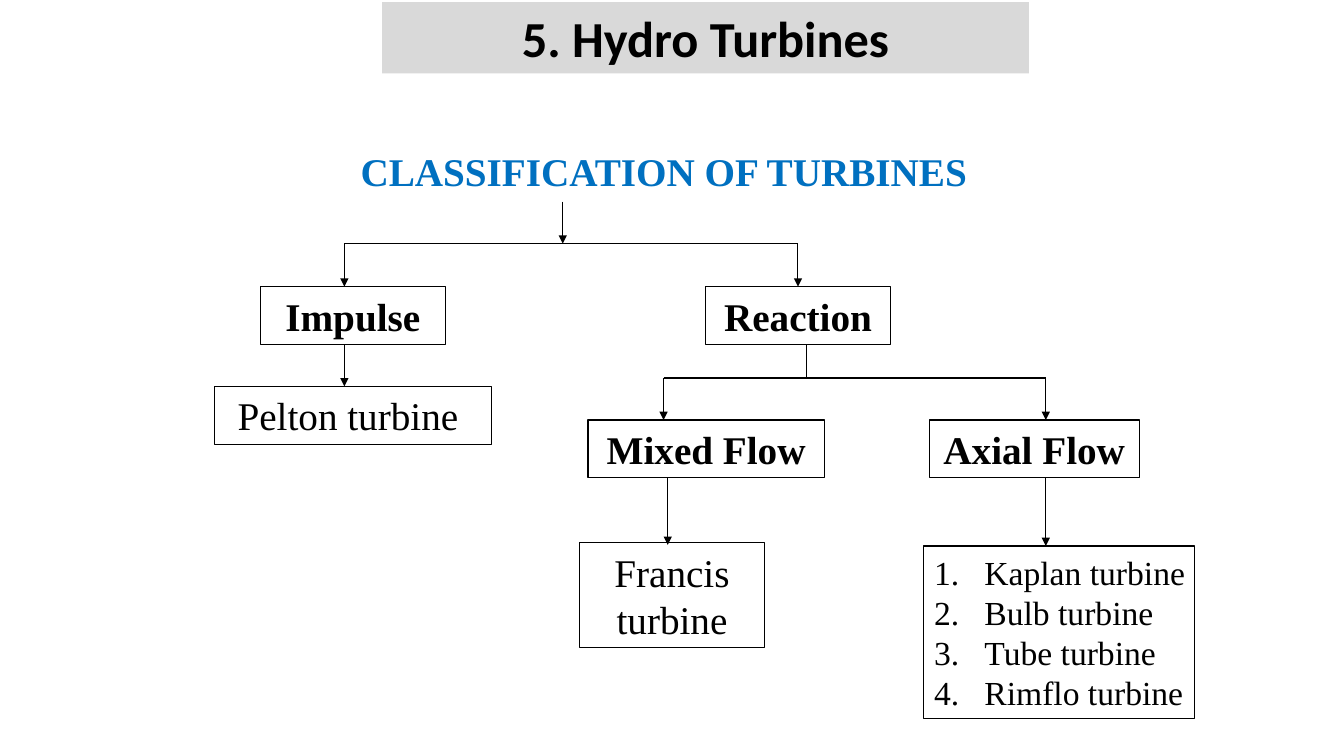
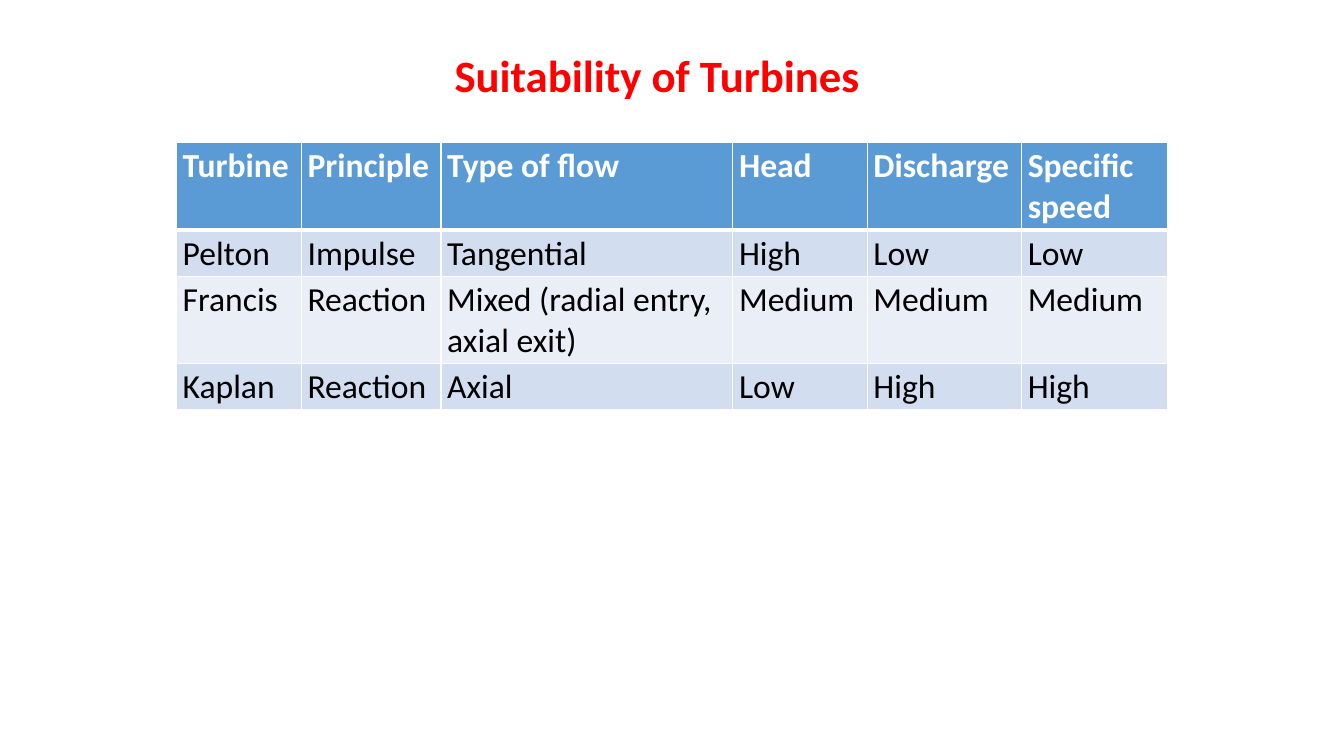
from lxml import etree
from pptx import Presentation
from pptx.dml.color import RGBColor
from pptx.enum.shapes import MSO_CONNECTOR, MSO_SHAPE
from pptx.enum.text import MSO_ANCHOR, MSO_AUTO_SIZE, PP_ALIGN
from pptx.oxml.ns import qn
from pptx.util import Emu, Pt

EMU_PER_PX = 9525
SLIDE_SIZE = (1280, 720)
TITLE_AND_BODY, TITLE_ONLY = 1, 5
TOP_SIDE = 0
RECTANGLE = MSO_SHAPE.RECTANGLE
STRAIGHT = MSO_CONNECTOR.STRAIGHT
LEFT, CENTER = PP_ALIGN.LEFT, PP_ALIGN.CENTER
TOP, MIDDLE = MSO_ANCHOR.TOP, MSO_ANCHOR.MIDDLE
NO_FIT = MSO_AUTO_SIZE.NONE

BLACK, WHITE, GRAY = "000000", "FFFFFF", "D9D9D9"
BLUE, RED = "0070C0", "FF0000"
HEADER_FILL, ROW_FILLS = "5B9BD5", ("D2DEEF", "EAEFF7")
LINE_WIDTH = 0.75
SANS, SERIF = "Calibri", "Times New Roman"

BANNER = {"name": SANS, "size": Pt(36), "bold": True}
PAGE_TITLE = {"name": SANS, "size": Pt(32), "bold": True}
GROUP = {"name": SERIF, "size": Pt(28), "bold": True}
TURBINE = {"name": SERIF, "size": Pt(28), "bold": False}
LIST_ITEM = {"name": SERIF, "size": Pt(24), "bold": False}
HEADER_CELL = {"name": SANS, "size": Pt(24), "bold": True}
BODY_CELL = {"name": SANS, "size": Pt(24), "bold": False}

NODES = {
    "Impulse": ((248, 273, 176, 55), GROUP),
    "Reaction": ((672, 273, 176, 55), GROUP),
    "Pelton turbine ": ((204, 368, 264, 55), TURBINE),
    "Mixed Flow": ((560, 400, 225, 55), GROUP),
    "Axial Flow": ((885, 400, 200, 55), GROUP),
    "Francis turbine": ((552, 517, 176, 100), TURBINE),
}
AXIAL_TURBINES = ["Kaplan turbine", "Bulb turbine", "Tube turbine", "Rimflo turbine"]

COLUMN_WIDTHS = (119, 133, 278, 128, 147, 139)
ROW_HEIGHTS = (83, 44, 82, 44)
SUITABILITY = [
    ["Turbine", "Principle", "Type of flow", "Head", "Discharge", "Specific speed"],
    ["Pelton", "Impulse", "Tangential", "High", "Low", "Low"],
    ["Francis", "Reaction", "Mixed (radial entry,\naxial exit)", "Medium", "Medium", "Medium"],
    ["Kaplan", "Reaction", "Axial", "Low", "High", "High"],
]


def px(length):
    return Emu(length * EMU_PER_PX)


def rgb(color):
    return RGBColor.from_string(color)


def fill_solid(item, color):
    item.fill.solid()
    item.fill.fore_color.rgb = rgb(color)


def outline(item):
    item.line.color.rgb = rgb(BLACK)
    item.line.width = Pt(LINE_WIDTH)


def place(item, bounds):
    for side, length in zip(("left", "top", "width", "height"), bounds):
        setattr(item, side, px(length))


def format_text(frame, font, color=BLACK, align=LEFT):
    for para in frame.paragraphs:
        para.alignment = align
        para.space_before = Pt(0)
        for attribute, value in font.items():
            setattr(para.font, attribute, value)
        para.font.color.rgb = rgb(color)


def write_text(frame, text, font, color=BLACK, align=CENTER, anchor=MIDDLE):
    frame.text = text
    frame.word_wrap = True
    frame.auto_size = NO_FIT
    frame.vertical_anchor = anchor
    format_text(frame, font, color, align)


def set_title(page, text, bounds, font, color):
    title = page.shapes.title
    place(title, bounds)
    write_text(title.text_frame, text, font, color)
    return title


def add_node(page, text, bounds, font):
    box = page.shapes.add_shape(RECTANGLE, *map(px, bounds))
    box.shadow.inherit = False
    box.fill.background()
    outline(box)
    write_text(box.text_frame, text, font)
    return box


def add_line(page, start, end, arrow=False):
    line = page.shapes.add_connector(STRAIGHT, *map(px, start + end))
    outline(line)
    if arrow:
        tail = etree.SubElement(line.line._get_or_add_ln(), qn("a:tailEnd"))
        tail.set("type", "triangle")
    etree.SubElement(line._element.spPr, qn("a:effectLst"))
    return line


def add_branch(page, rail_y, bottom, columns):
    """Draw a horizontal rail with an arrow down at each end."""
    add_line(page, (columns[0], rail_y), (columns[-1], rail_y))
    return [add_line(page, (x, rail_y), (x, bottom), arrow=True) for x in columns]


def fill_numbered_list(holder, items, bounds):
    place(holder, bounds)
    outline(holder)
    frame = holder.text_frame
    frame.text = "\n".join(items)
    for para in frame.paragraphs:
        properties = para._p.get_or_add_pPr()
        properties.set("marL", str(px(48)))
        properties.set("indent", str(px(-48)))
        numbering = etree.SubElement(properties, qn("a:buAutoNum"))
        numbering.set("type", "arabicPeriod")
    frame.word_wrap = True
    frame.auto_size = NO_FIT
    frame.vertical_anchor = MIDDLE
    frame.margin_right = px(4)
    format_text(frame, LIST_ITEM)


def set_borders(cell, widths):
    properties = cell._tc.get_or_add_tcPr()
    for side, width in widths.items():
        border = etree.SubElement(properties, qn(f"a:ln{side}"), w=str(Pt(width)))
        paint = etree.SubElement(border, qn("a:solidFill"))
        etree.SubElement(paint, qn("a:srgbClr"), val=WHITE)


def add_suitability_table(page, left, top):
    bounds = (left, top, sum(COLUMN_WIDTHS), sum(ROW_HEIGHTS))
    table = page.shapes.add_table(
        len(ROW_HEIGHTS), len(COLUMN_WIDTHS), *map(px, bounds)).table
    for column, width in zip(table.columns, COLUMN_WIDTHS):
        column.width = px(width)
    for index, (row, height) in enumerate(zip(table.rows, ROW_HEIGHTS)):
        row.height = px(height)
        header = index == 0
        borders = {"L": 1, "R": 1, "T": 3 if index == 1 else 1, "B": 3 if header else 1}
        fill = HEADER_FILL if header else ROW_FILLS[(index - 1) % 2]
        font, color = (HEADER_CELL, WHITE) if header else (BODY_CELL, BLACK)
        for cell, text in zip(row.cells, SUITABILITY[index]):
            cell.text = text
            cell.vertical_anchor = TOP
            cell.margin_left = cell.margin_right = px(6)
            cell.margin_top = px(3)
            cell.margin_bottom = px(2)
            set_borders(cell, borders)
            fill_solid(cell, fill)
            format_text(cell.text_frame, font, color)


def build_classification(deck):
    page = deck.slides.add_slide(deck.slide_layouts[TITLE_AND_BODY])
    banner = set_title(page, "5. Hydro Turbines", (364, 2, 616, 68), BANNER, BLACK)
    fill_solid(banner, GRAY)
    heading = page.shapes.add_textbox(*map(px, (256, 136, 752, 54)))
    write_text(heading.text_frame, "CLASSIFICATION OF TURBINES", GROUP, BLUE)
    nodes = {text: add_node(page, text, *style) for text, style in NODES.items()}
    fill_numbered_list(page.placeholders[1], AXIAL_TURBINES, (880, 520, 258, 164))

    add_line(page, (536, 192), (536, 232), arrow=True)
    to_reaction = add_branch(page, 232, 273, (328, 760))[-1]
    to_reaction.end_connect(nodes["Reaction"], TOP_SIDE)
    add_line(page, (768, 328), (768, 360))
    add_branch(page, 360, 400, (632, 996))
    for x, top, bottom in ((328, 328, 368), (636, 455, 519), (996, 455, 520)):
        add_line(page, (x, top), (x, bottom), arrow=True)


def build_suitability(deck):
    page = deck.slides.add_slide(deck.slide_layouts[TITLE_ONLY])
    set_title(page, "Suitability of Turbines", (394, 40, 464, 62), PAGE_TITLE, RED)
    add_suitability_table(page, 168, 136)


def main():
    deck = Presentation()
    deck.slide_width, deck.slide_height = map(px, SLIDE_SIZE)
    build_classification(deck)
    build_suitability(deck)
    deck.save("out.pptx")


if __name__ == "__main__":
    main()
